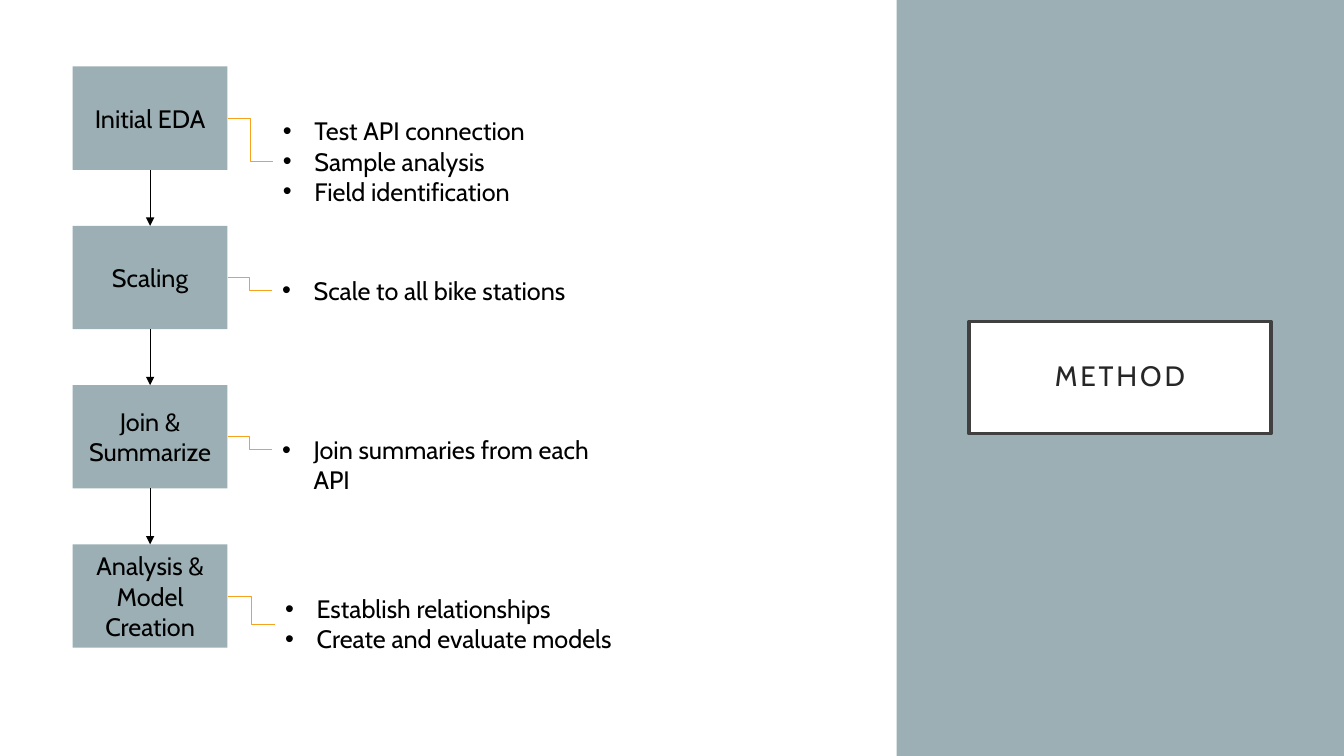
from lxml.etree import SubElement
from pptx import Presentation
from pptx.dml.color import RGBColor
from pptx.enum.shapes import MSO_CONNECTOR as Link, MSO_SHAPE as Preset
from pptx.enum.text import MSO_ANCHOR as Anchor, MSO_AUTO_SIZE as AutoSize, PP_ALIGN as Align
from pptx.oxml.ns import qn
from pptx.util import Pt

# Content: step, its tasks, left edge and width of the task list
TITLE = "METHOD"
STEPS = [
    ("Initial EDA", ["Test API connection", "Sample analysis", "Field identification"], 195, 259),
    ("Scaling", ["Scale to all bike stations"], 194.4, 245.5),
    ("Join & Summarize", ["Join summaries from each API"], 194.4, 255),
    ("Analysis & Model Creation", ["Establish relationships", "Create and evaluate models"], 196.6, 281),
]
COLORS = {"sage": "9BAFB5", "white": "FFFFFF", "black": "000000",
          "frame": "404040", "title": "262626", "orange": "F6A21D"}
FONT = "Cabin"

# Layout in points
STEP_LEFT, STEP_TOP, STEP_WIDTH, STEP_HEIGHT, STEP_PITCH = 52, 47.5, 110.5, 73.8, 113.8
TASKS_DROP, TASK_LINE, TASKS_PADDING, TASK_INDENT = 31.5, 21.8, 7.2, 22.5
TOP, BOTTOM, RIGHT, LEFT = 0, 2, 3, 1  # connection sites of a rectangle


def color(name):
    return RGBColor.from_string(COLORS[name])


def paint(part, name):
    part.fill.solid()
    part.fill.fore_color.rgb = color(name)


def style(paragraph, size, name):
    for run in paragraph.runs:
        run.font.size = Pt(size)
        run.font.name = FONT
        run.font.color.rgb = color(name)


def add_panel(left, top, width, height, fill):
    panel = slide.shapes.add_shape(Preset.RECTANGLE, Pt(left), Pt(top), Pt(width), Pt(height))
    panel.shadow.inherit = False
    paint(panel, fill)
    panel.line.fill.background()
    return panel


def add_step(name, top):
    step = add_panel(STEP_LEFT, top, STEP_WIDTH, STEP_HEIGHT, "sage")
    frame = step.text_frame
    frame.word_wrap = True
    frame.vertical_anchor = Anchor.MIDDLE
    frame.text = name
    frame.paragraphs[0].alignment = Align.CENTER
    style(frame.paragraphs[0], 18, "black")
    return step


def add_tasks(tasks, left, top, width):
    height = TASKS_PADDING + TASK_LINE * len(tasks)
    task_list = slide.shapes.add_textbox(Pt(left), Pt(top), Pt(width), Pt(height))
    frame = task_list.text_frame
    frame.word_wrap = True
    frame.auto_size = AutoSize.NONE
    frame.text = "\n".join(tasks)
    for paragraph in frame.paragraphs:
        style(paragraph, 18, "black")
        props = paragraph._p.get_or_add_pPr()
        props.set("marL", str(Pt(TASK_INDENT)))
        props.set("indent", str(-Pt(TASK_INDENT)))
        SubElement(props, qn("a:buFont"), typeface="Arial")
        SubElement(props, qn("a:buChar"), char="•")
    return task_list


def join(kind, start, start_site, end, end_site, name):
    link = slide.shapes.add_connector(kind, 0, 0, 0, 0)
    link.begin_connect(start, start_site)
    link.end_connect(end, end_site)
    link.line.color.rgb = color(name)
    link.line.width = Pt(0.5)
    SubElement(link._element.spPr, qn("a:effectLst"))
    return link


# Slide and background
deck = Presentation()
deck.slide_width, deck.slide_height = Pt(960), Pt(540)
slide = deck.slides.add_slide(deck.slide_layouts[5])
paint(slide.background, "sage")

# Framed title
title = slide.shapes.title
title.left, title.top, title.width, title.height = Pt(692), Pt(229.7), Pt(216), Pt(80)
paint(title, "white")
title.line.color.rgb = color("frame")
title.line.width = Pt(2.5)
heading = title.text_frame
heading.text = TITLE
heading.word_wrap = True
heading.auto_size = AutoSize.NONE
heading.vertical_anchor = Anchor.MIDDLE
heading.margin_left = heading.margin_right = heading.margin_top = heading.margin_bottom = Pt(14.4)
heading.paragraphs[0].alignment = Align.CENTER
heading.paragraphs[0].line_spacing = 0.9
style(heading.paragraphs[0], 20, "title")
heading.paragraphs[0].runs[0].font._element.set("spc", "200")

# White area with the steps and their tasks
add_panel(0, 0, 640.5, 540, "white")
previous = None
for row, (name, tasks, left, width) in enumerate(STEPS):
    top = STEP_TOP + row * STEP_PITCH
    step = add_step(name, top)
    task_list = add_tasks(tasks, left, top + TASKS_DROP, width)
    join(Link.ELBOW, step, RIGHT, task_list, LEFT, "orange")
    if previous is not None:
        arrow = join(Link.STRAIGHT, previous, BOTTOM, step, TOP, "black")
        SubElement(arrow.line._get_or_add_ln(), qn("a:tailEnd"), type="triangle")
    previous = step

deck.save("out.pptx")
